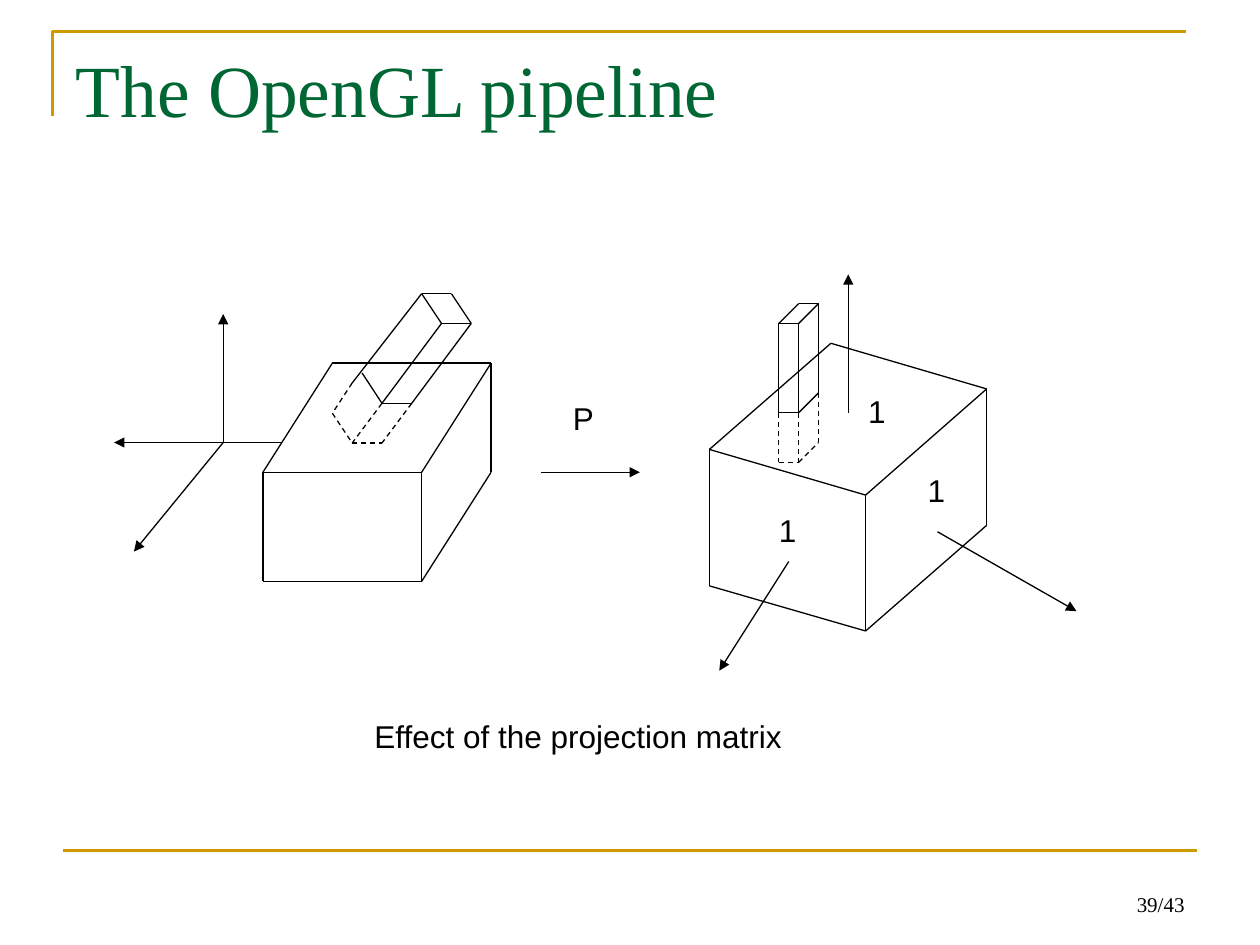
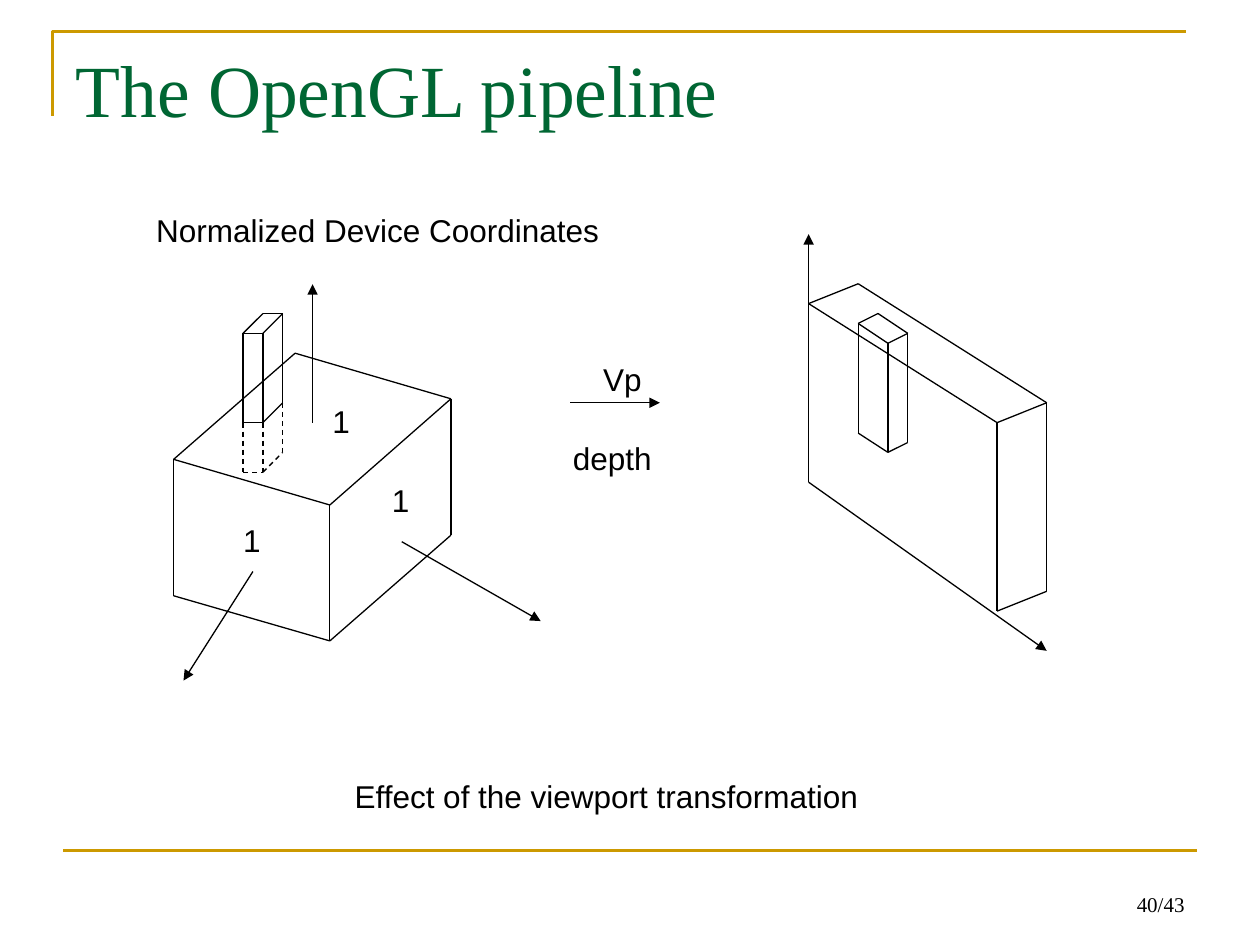
from lxml.etree import SubElement
from pptx import Presentation
from pptx.dml.color import RGBColor
from pptx.enum.dml import MSO_LINE
from pptx.enum.shapes import MSO_CONNECTOR
from pptx.enum.text import MSO_ANCHOR, MSO_AUTO_SIZE, PP_ALIGN
from pptx.oxml.ns import qn
from pptx.util import Cm, Pt

GOLD, GREEN, BLACK = "CC9900", "006633", "000000"
SERIF, SANS = "Times New Roman", "Arial"
PAGE_COUNT = 43
TITLE_ONLY = 5

VIEW_FRUSTUM = {
    "points": {
        "A": (6.7, 7.32), "B": (9.9, 7.32), "C": (5.3, 9.52), "D": (8.5, 9.52),
        "E": (5.3, 11.72), "F": (8.5, 11.72), "G": (9.9, 9.52),
        "H": (8.5, 5.92), "I": (7.1, 7.72), "J": (8.9, 6.52), "K": (7.7, 8.13),
        "L": (9.1, 5.92), "M": (9.5, 6.52), "N": (8.3, 8.13), "O": (7.3, 7.52),
        "P": (6.7, 8.33), "Q": (7.1, 8.93), "R": (7.7, 8.93),
        "S": (4.5, 8.92), "T": (5.69, 8.92), "U": (2.3, 8.92),
        "V": (4.5, 6.33), "W": (2.7, 11.12),
    },
    "solid": "AC AB BD CD CE EF DF BG GF HI HJ JK HL LM JM MN OK KN",
    "dashed": "IP KQ NR PQ QR",
    "arrows": "TU SV SW",
}
NORMALIZED_CUBE = {
    "points": {
        "A": (16.75, 6.92), "B": (19.89, 7.84), "C": (14.3, 9.06), "D": (17.45, 9.98),
        "E": (14.3, 11.81), "F": (17.45, 12.72), "G": (19.89, 10.59),
        "H": (17.1, 8.32), "I": (17.1, 5.53), "J": (15.9, 11.32), "K": (14.5, 13.52),
        "L": (18.9, 10.72), "M": (21.7, 12.32),
        "N": (15.7, 6.52), "O": (16.1, 6.12), "P": (16.1, 6.52), "Q": (16.5, 6.12),
        "R": (15.7, 8.32), "S": (16.1, 8.32), "T": (16.5, 7.92),
        "U": (15.7, 9.32), "V": (16.1, 9.32), "W": (16.5, 8.92),
    },
    "solid": "AC AB CE BG CD BD EF DF GF NR NO NP OQ PQ PS QT RS ST",
    "dashed": "RU SV TW UV VW",
    "arrows": "HI JK LM",
    "labels": [("1", 15.45, 10.18, 0.86), ("1", 18.45, 9.38, 0.86), ("1", 17.25, 7.77, 0.86)],
}
VIEWPORT_SLAB = {
    "points": {
        "A": (16.3, 9.72), "B": (16.3, 4.72), "C": (21.1, 13.12),
        "D": (16.3, 6.12), "E": (20.1, 8.52), "F": (17.3, 5.72), "G": (21.1, 8.12),
        "H": (20.1, 12.32), "I": (21.1, 11.92),
        "J": (17.7, 6.32), "K": (17.3, 6.52), "L": (17.3, 8.73), "M": (17.9, 6.92),
        "N": (17.9, 9.12), "O": (18.3, 6.72), "P": (18.3, 8.92),
    },
    "solid": "DE DF FG EH EG GI HI JK KL KM MN OM JO OP LN PN",
    "arrows": "AB AC",
}
PROJECTION_STEP = {
    "points": {"A": (10.9, 9.52), "B": (12.9, 9.52)},
    "arrows": "AB",
    "labels": [("P", 11.3, 7.92, 0.95)],
}
VIEWPORT_STEP = {
    "points": {"A": (11.5, 8.12), "B": (13.3, 8.12)},
    "arrows": "AB",
    "labels": [("Vp", 11.91, 7.14, 1.35), ("depth", 11.3, 8.73, 2.15)],
}

PAGES = [
    {
        "number": 39,
        "figures": [(VIEW_FRUSTUM, 0, 0), (NORMALIZED_CUBE, 0, 0), (PROJECTION_STEP, 0, 0)],
        "captions": [("Effect of the projection matrix", 7.3, 14.33, 8.78)],
    },
    {
        "number": 40,
        "figures": [(NORMALIZED_CUBE, -10.8, 0.2), (VIEWPORT_SLAB, 0, 0), (VIEWPORT_STEP, 0, 0)],
        "captions": [
            ("Normalized Device Coordinates", 2.9, 4.13, 9.5),
            ("Effect of the viewport transformation", 6.9, 15.53, 10.7),
        ],
    },
]


def color(code):
    return RGBColor.from_string(code)


def add_line(page, start, end, code=BLACK, width=0.75, dashed=False, arrow=False):
    line = page.shapes.add_connector(
        MSO_CONNECTOR.STRAIGHT, *(Cm(value) for value in (*start, *end)))
    line.line.color.rgb = color(code)
    line.line.width = Pt(width)
    if dashed:
        line.line.dash_style = MSO_LINE.DASH
    properties = line.element.spPr
    if arrow:
        SubElement(properties.find(qn("a:ln")), qn("a:tailEnd"), type="triangle")
    SubElement(properties, qn("a:effectLst"))
    return line


def write(para, text, font, size, code, alignment=PP_ALIGN.LEFT):
    para.alignment = alignment
    span = para.add_run()
    span.text = text
    span.font.name = font
    span.font.size = Pt(size)
    span.font.color.rgb = color(code)


def add_label(page, text, left, top, width):
    box = page.shapes.add_textbox(Cm(left), Cm(top), Cm(width), Cm(1.02))
    box.text_frame.word_wrap = False
    box.text_frame.auto_size = MSO_AUTO_SIZE.SHAPE_TO_FIT_TEXT
    write(box.text_frame.paragraphs[0], text, SANS, 18, BLACK)


def add_figure(page, figure, right, down):
    points = {name: (x + right, y + down) for name, (x, y) in figure["points"].items()}
    for style in ("solid", "dashed", "arrows"):
        for start, end in figure.get(style, "").split():
            add_line(page, points[start], points[end],
                     dashed=style == "dashed", arrow=style == "arrows")
    for text, left, top, width in figure.get("labels", []):
        add_label(page, text, left + right, top + down, width)


def style_layout(layout, page):
    outline = page.shapes.build_freeform(Cm(1.06), Cm(2.33), scale=1.0)
    outline.add_line_segments([(Cm(1.06), Cm(0.63)), (Cm(23.91), Cm(0.63))], close=False)
    corner = outline.convert_to_shape()
    corner.shadow.inherit = False
    corner.fill.background()
    corner.line.color.rgb = color(GOLD)
    corner.line.width = Pt(1.5)
    rule = add_line(page, (1.27, 17.15), (24.13, 17.15), GOLD, 1.5)
    for band in (corner, rule):
        layout.shapes.element.append(band.element)
    title = layout.placeholders[0]
    title.left, title.top, title.width, title.height = Cm(1.27), Cm(0.76), Cm(22.86), Cm(3.18)
    title.text_frame.vertical_anchor = MSO_ANCHOR.TOP
    title.text_frame.auto_size = MSO_AUTO_SIZE.NONE


def add_page_number(page, number):
    box = page.shapes.add_textbox(Cm(18.21), Cm(17.34), Cm(5.92), Cm(1.27))
    box.text_frame.word_wrap = True
    box.text_frame.vertical_anchor = MSO_ANCHOR.BOTTOM
    write(box.text_frame.paragraphs[0], f"{number}/{PAGE_COUNT}", SERIF, 12, BLACK, PP_ALIGN.RIGHT)


def main():
    deck = Presentation()
    deck.slide_width, deck.slide_height = Cm(25.4), Cm(19.05)
    layout = deck.slide_layouts[TITLE_ONLY]
    for index, content in enumerate(PAGES):
        page = deck.slides.add_slide(layout)
        if index == 0:
            style_layout(layout, page)
        write(page.shapes.title.text_frame.paragraphs[0], "The OpenGL pipeline", SERIF, 42, GREEN)
        add_page_number(page, content["number"])
        for figure, right, down in content["figures"]:
            add_figure(page, figure, right, down)
        for caption in content["captions"]:
            add_label(page, *caption)
    deck.save("out.pptx")


if __name__ == "__main__":
    main()
